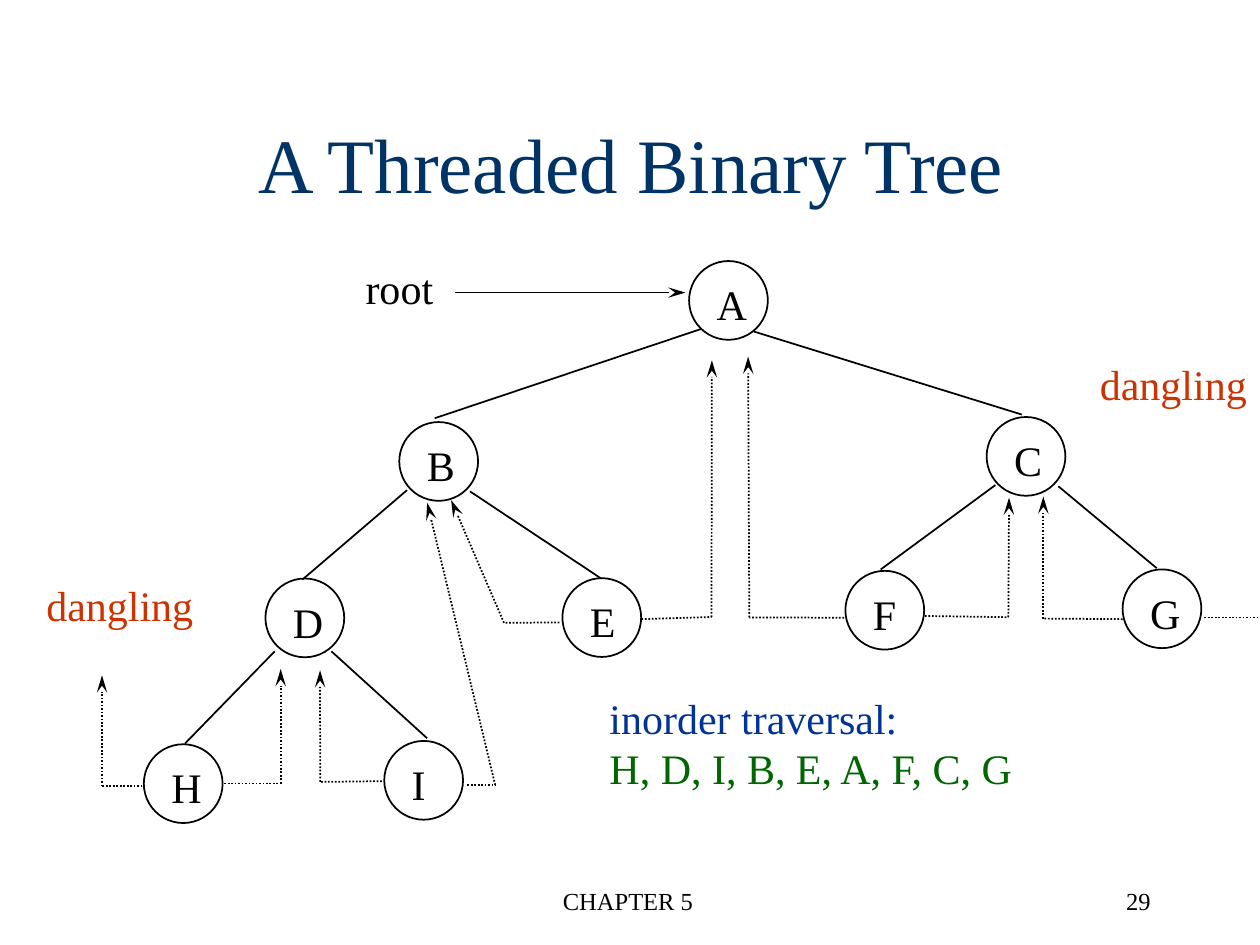
from lxml.etree import SubElement
from pptx import Presentation
from pptx.dml.color import RGBColor
from pptx.enum.dml import MSO_LINE
from pptx.enum.shapes import MSO_CONNECTOR, MSO_SHAPE
from pptx.enum.text import MSO_ANCHOR, MSO_AUTO_SIZE, PP_ALIGN
from pptx.oxml.ns import qn
from pptx.util import Pt

COLORS = {"ink": "000000", "title": "003366", "warn": "CC3300",
          "head": "003399", "list": "006600"}
NODE = 45

NODES = {"A": (393.8, 149.2), "B": (228.2, 241.2), "C": (563.8, 238.3),
         "G": (641.5, 325.4), "E": (321.4, 330.4), "I": (219.6, 423.4),
         "D": (151.7, 330.6), "H": (82.2, 425.3), "F": (483.1, 326.2)}
WIDTHS = {"A": 32, "B": 30.5, "C": 30.5, "G": 32, "E": 29.5,
          "I": 22.5, "D": 32, "H": 32, "F": 28.1}

EDGES = [((401, 187.9), (248.4, 239)),
         ((430.6, 189.4), (583.9, 236.9)),
         ((232.6, 280.1), (172.8, 331.2)),
         ((268.6, 280.8), (343.4, 330.5)),
         ((568.8, 277.2), (503.3, 325.4)),
         ((604.8, 277.9), (661, 324.7)),
         ((157, 372.2), (105.8, 424.8)),
         ((189.4, 372.2), (244.1, 421.9))]

# Each thread runs from a node to a corner, then up to its arrow tip.
THREADS = [((267.1, 448.6), (283, 448.6), (244.1, 287.3)),
           ((319.7, 355.7), (288, 355.9), (257.8, 285.8)),
           ((128.2, 447.8), (160.4, 447.8), (160.4, 382.3)),
           ((218.2, 446.4), (183, 446.8), (182.9, 383)),
           ((482.4, 353), (428.2, 352.8), (427.5, 203.8)),
           ((641.5, 353.8), (596.2, 353.5), (596.2, 283.7)),
           ((81.4, 449.3), (58.3, 449.3), (58.3, 385.9)),
           ((366.5, 353.8), (406.6, 352.6), (406.8, 205.9)),
           ((528.5, 352), (576.2, 352.7), (576.6, 284.4)),
           ((688.3, 352.8), (718.6, 352.8))]


class Board:
    """Holds the style and the current slide."""

    font = "Times New Roman"
    stroke = 0.99

    def __init__(self, slide):
        """Keep the slide to draw on."""
        self.slide = slide

    def text(self, box, lines, size=24, align=PP_ALIGN.LEFT, wrap=False,
             anchor=MSO_ANCHOR.TOP, before=0, home=None):
        """Add a text box with one paragraph per (words, color) pair."""
        home = home or self.slide
        frame = home.shapes.add_textbox(*map(Pt, box)).text_frame
        frame.word_wrap = wrap
        frame.auto_size = (MSO_AUTO_SIZE.NONE if wrap
                           else MSO_AUTO_SIZE.SHAPE_TO_FIT_TEXT)
        frame.vertical_anchor = anchor
        for i, (words, color) in enumerate(lines):
            para = frame.add_paragraph() if i else frame.paragraphs[0]
            para.alignment = align
            para.space_before = Pt(before)
            run = para.add_run()
            run.text = words
            run.font.name = self.font
            run.font.size = Pt(size)
            run.font.color.rgb = RGBColor.from_string(COLORS[color])

    def pen(self, line):
        """Set the common stroke."""
        line.color.rgb = RGBColor.from_string(COLORS["ink"])
        line.width = Pt(self.stroke)

    def node(self, name, left, top):
        """Add a ring grouped with its letter."""
        group = self.slide.shapes.add_group_shape()
        ring = group.shapes.add_shape(
            MSO_SHAPE.OVAL, Pt(left), Pt(top), Pt(NODE), Pt(NODE))
        ring.shadow.inherit = False
        ring.fill.background()
        self.pen(ring.line)
        self.text((left + 8.6, top + 6.5, WIDTHS[name], 36),
                  [(name, "ink")], home=group)

    def line(self, start, end, dots=False, arrow=False):
        """Add a straight line, dotted or with an arrow tip if asked."""
        link = self.slide.shapes.add_connector(
            MSO_CONNECTOR.STRAIGHT, *map(Pt, start + end))
        self.pen(link.line)
        if dots:
            link.line.dash_style = MSO_LINE.ROUND_DOT
        props = link._element.spPr
        if arrow:
            SubElement(props.find(qn("a:ln")), qn("a:tailEnd"),
                       type="stealth", w="med", len="lg")
        SubElement(props, qn("a:effectLst"))

    def thread(self, points):
        """Add a dotted path whose second leg ends in an arrow."""
        for i, (start, end) in enumerate(zip(points, points[1:])):
            self.line(start, end, dots=True, arrow=i == 1)


def main():
    """Build and save the slide."""
    deck = Presentation()
    deck.slide_width, deck.slide_height = Pt(720), Pt(540)
    board = Board(deck.slides.add_slide(deck.slide_layouts[6]))

    board.text((244.8, 502.6, 228.2, 36), [("CHAPTER 5", "ink")], 14,
               PP_ALIGN.CENTER, True, before=8.8)
    board.text((514.8, 502.6, 149.8, 36), [("29", "ink")], 14,
               PP_ALIGN.RIGHT, True, before=8.8)
    board.text((0, 48.2, 721.4, 90), [("A Threaded Binary Tree", "title")],
               44, PP_ALIGN.CENTER, True, MSO_ANCHOR.MIDDLE)

    for name, spot in NODES.items():
        board.node(name, *spot)
    for edge in EDGES:
        board.line(*edge)
    for points in THREADS:
        board.thread(points)

    board.line((259.9, 167.2), (391.7, 167.2), arrow=True)
    board.text((201.8, 146.2, 54, 36), [("root", "ink")])
    for left, top in ((19.4, 327.6), (621.4, 201.2)):
        board.text((left, top, 100, 36), [("dangling", "warn")])
    board.text((341.2, 392, 247.7, 64.8),
               [("inorder traversal:", "head"),
                ("H, D, I, B, E, A, F, C, G", "list")])
    deck.save("out.pptx")


main()
